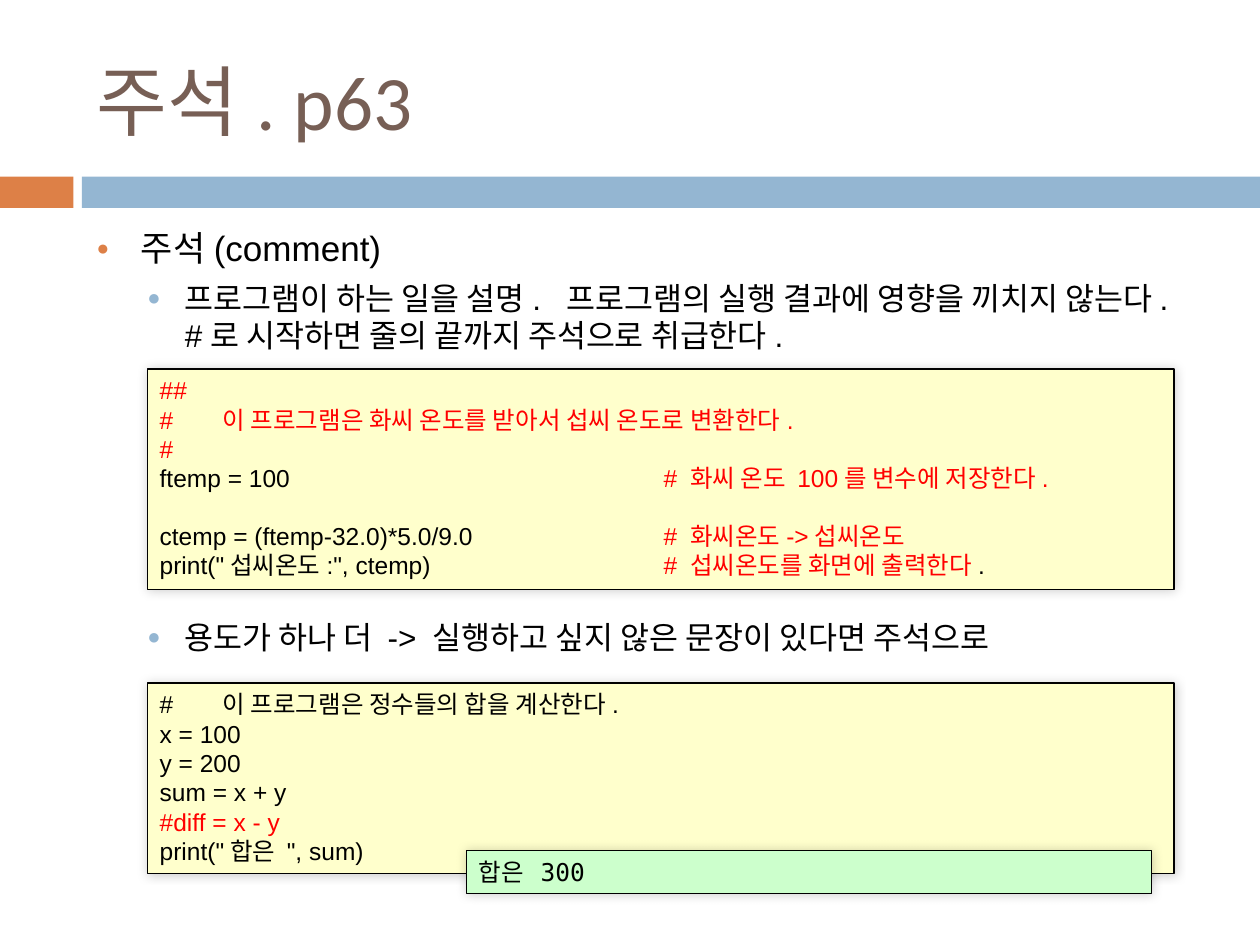
import pptx
import pptx.util
import pptx.dml.color
import pptx.enum.shapes
import pptx.enum.text
import pptx.oxml
from pptx.oxml.ns import nsdecls
from dataclasses import dataclass
from pptx.util import Cm, Pt


@dataclass(frozen=True)
class Theme:
    orange: str = "DD8047"
    blue: str = "94B6D2"
    brown: str = "775F55"
    black: str = "000000"
    red: str = "FF0000"
    yellow: str = "FFFFCC"
    green: str = "CCFFCC"
    title: int = 44
    level1: int = 20
    level2: int = 18
    code: int = 14
    font: str = "Arial"
    title_font: str = "Calibri"
    mono: str = "DejaVu Sans Mono"


T = Theme()
rgb = pptx.dml.color.RGBColor.from_string


def add_rect(x, y, w, h, fill):
    sp = s.shapes.add_shape(pptx.enum.shapes.MSO_SHAPE.RECTANGLE, Cm(x), Cm(y), Cm(w), Cm(h))
    sp.shadow.inherit = False
    sp.fill.solid()
    sp.fill.fore_color.rgb = rgb(fill)
    sp.line.fill.background()
    return sp


def set_font(font, name, size, color=None):
    font.name = name
    font.size = Pt(size)
    if color:
        font.color.rgb = rgb(color)


prs = pptx.Presentation()
prs.slide_width, prs.slide_height = Cm(25.4), Cm(19.05)
s = prs.slides.add_slide(prs.slide_layouts[6])

# Header bars
add_rect(0, 3.56, 1.48, 0.63, T.orange)
add_rect(1.65, 3.56, 23.75, 0.63, T.blue)

# Title
tf = s.shapes.add_textbox(Cm(1.7), Cm(0.64), Cm(22.66), Cm(2.74)).text_frame
tf.word_wrap = True
tf.vertical_anchor = pptx.enum.text.MSO_ANCHOR.MIDDLE
p = tf.paragraphs[0]
p.text = "주석. p63"
set_font(p.font, T.title_font, T.title, T.brown)

# Bullets: text, size, space before, left margin, hanging indent, bullet colour, bullet percent
bullets = [
    ("주석(comment)", T.level1, 7, 0.89, 0.89, T.orange, 60),
    ("프로그램이 하는 일을 설명.  프로그램의 실행 결과에 영향을 끼치지 않는다.  "
     "#로 시작하면 줄의 끝까지 주석으로 취급한다.", T.level2, 5.5, 1.78, 0.76, T.blue, 70),
    ("용도가 하나 더 -> 실행하고 싶지 않은 문장이 있다면 주석으로",
     T.level2, 151, 1.78, 0.76, T.blue, 70),
]
tf = s.shapes.add_textbox(Cm(1.7), Cm(4.45), Cm(22.66), Cm(12.5)).text_frame
tf.word_wrap = True
for i, (text, size, before, margin, hang, color, percent) in enumerate(bullets):
    p = tf.add_paragraph() if i else tf.paragraphs[0]
    p.text = text
    p.space_before = Pt(before)
    set_font(p.font, T.font, size, T.black)
    pPr = p._p.get_or_add_pPr()
    pPr.set("marL", str(Cm(margin)))
    pPr.set("indent", str(-Cm(hang)))
    marks = (f'<a:buClr {nsdecls("a")}><a:srgbClr val="{color}"/></a:buClr>',
             f'<a:buSzPct {nsdecls("a")} val="{percent * 1000}"/>',
             f'<a:buFont {nsdecls("a")} typeface="{T.font}"/>',
             f'<a:buChar {nsdecls("a")} char="●"/>')
    for k, mark in enumerate(marks):
        pPr.insert(1 + k, pptx.oxml.parse_xml(mark))

# Code boxes: each line is a list of (text, colour) runs; an empty line widens the next gap
celsius = [
    [("##", T.red)],
    [("#\t이 프로그램은 화씨 온도를 받아서 섭씨 온도로 변환한다.", T.red)],
    [("#", T.red)],
    [("ftemp = 100\t", T.black), ("# 화씨 온도 100를 변수에 저장한다.", T.red)],
    [],
    [("ctemp = (ftemp-32.0)*5.0/9.0\t", T.black), ("# 화씨온도->섭씨온도", T.red)],
    [('print("섭씨온도:", ctemp)\t', T.black), ("# 섭씨온도를 화면에 출력한다", T.red),
     (".", T.black)],
]
total = [
    [("#\t이 프로그램은 정수들의 합을 계산한다.", T.black)],
    [("x = 100", T.black)],
    [("y = 200", T.black)],
    [("sum = x + y", T.black)],
    [("#diff = x - y", T.red)],
    [('print("합은 ", sum)', T.black)],
]
output = [[("합은  300", T.black)]]
boxes = [
    (2.97, 7.44, 20.7, 4.45, T.yellow, T.font, celsius),
    (2.97, 13.77, 20.7, 3.84, T.yellow, T.font, total),
    (9.4, 17.15, 13.82, 0.86, T.green, T.mono, output),
]
for x, y, w, h, fill, font, lines in boxes:
    sp = add_rect(x, y, w, h, fill)
    sp.line.color.rgb = rgb(T.black)
    sp.line.width = Pt(0.75)
    sp._element.spPr.find(pptx.oxml.ns.qn("a:effectLst")).append(pptx.oxml.parse_xml(
        f'<a:outerShdw {nsdecls("a")} blurRad="{Pt(6)}" dist="0" dir="{315 * 60000}">'
        f'<a:srgbClr val="{T.black}"><a:alpha val="20000"/></a:srgbClr></a:outerShdw>'))
    tf = sp.text_frame
    tf.word_wrap = True
    tf.auto_size = pptx.enum.text.MSO_AUTO_SIZE.SHAPE_TO_FIT_TEXT
    tf.vertical_anchor = pptx.enum.text.MSO_ANCHOR.TOP
    p, gap = None, 0
    for runs in lines:
        if not runs:
            gap = 16
            continue
        p = tf.add_paragraph() if p else tf.paragraphs[0]
        p.alignment = pptx.enum.text.PP_ALIGN.LEFT
        p.space_before, gap = Pt(gap), 0
        set_font(p.font, font, T.code)
        for text, color in runs:
            r = p.add_run()
            r.text = text
            r.font.color.rgb = rgb(color)
        # Trailing comments line up on one tab stop
        if len(runs) > 1:
            p._p.pPr.insert(1, pptx.oxml.parse_xml(
                f'<a:tabLst {nsdecls("a")}><a:tab pos="{Cm(10.16)}" algn="l"/></a:tabLst>'))

prs.save("out.pptx")
